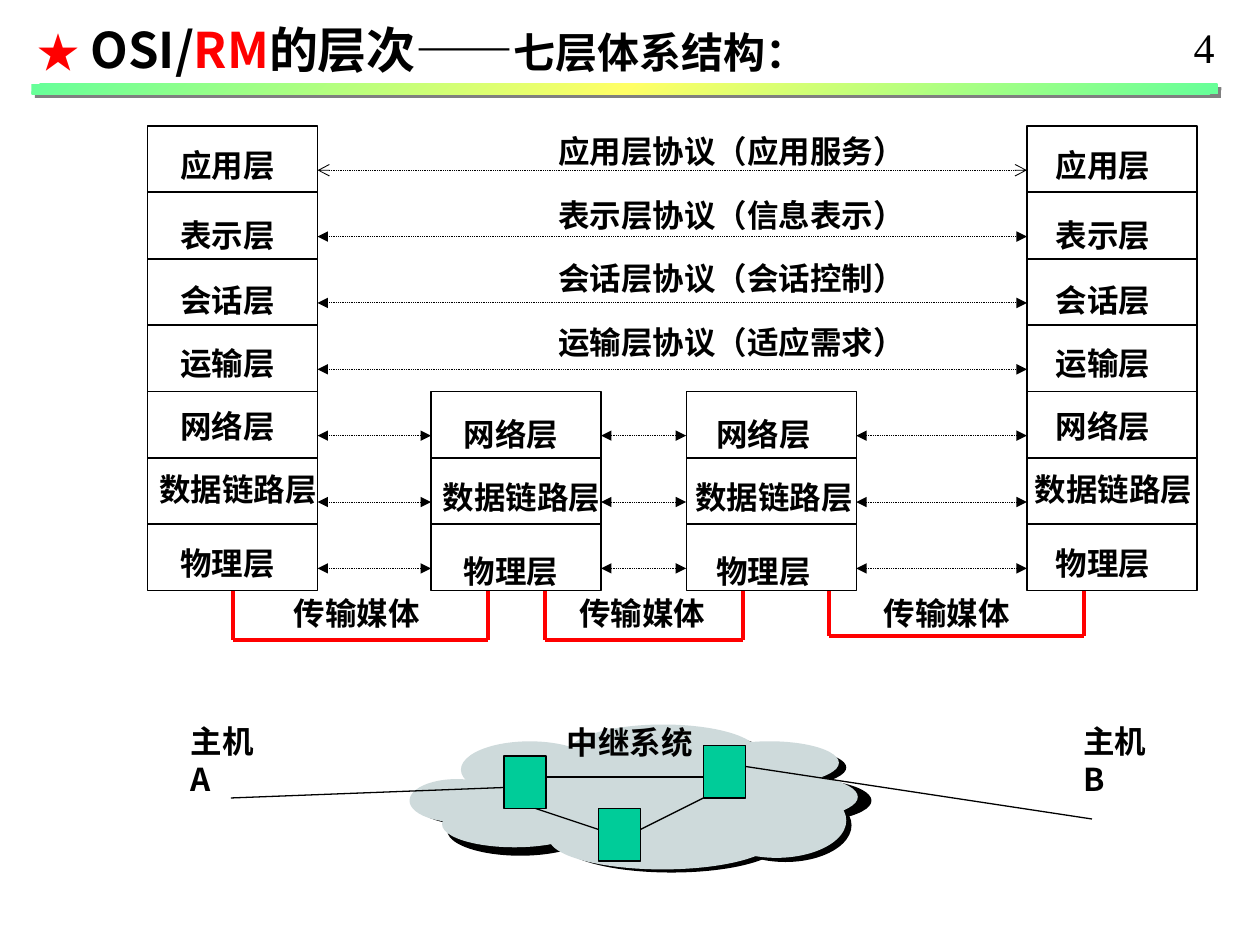
from copy import deepcopy
from dataclasses import dataclass

from lxml import etree
from pptx import Presentation
from pptx import util as u
from pptx.dml.color import RGBColor
from pptx.enum import dml, shapes, text
from pptx.oxml import ns

WIDTH, HEIGHT = u.Inches(10), u.Inches(7.5)
COL, ROW = WIDTH / 120, HEIGHT / 90
LAYER_ROWS = 6.32
SANS, SERIF = "Noto Sans CJK SC", "Times New Roman"
COLORS = {"ink": "000000", "red": "FF0000", "cloud": "CEDADB", "node": "00CC99",
          "mint": "66FF99", "yellow": "FFFF66", "shade": "808080"}
LAYERS = ["应用层", "表示层", "会话层", "运输层", "网络层", "数据链路层", "物理层"]
PROTOCOLS = ["应用层协议（应用服务）", "表示层协议（信息表示）",
             "会话层协议（会话控制）", "运输层协议（适应需求）"]
HOST_LABEL_ROWS = [1.3, 8, 14.2, 20.2, 26.2, 32.2, 39.2]
RELAY_LABEL_ROWS = [1.7, 7.7, 14.7]


@dataclass
class Box:
    """Area of the slide in grid columns and rows."""
    left: float
    top: float
    width: float
    height: float

    @property
    def right(self):
        return self.left + self.width

    def inner(self, left, top, width, height):
        return Box(self.left + left, self.top + top, width, height)

    def emu(self):
        return [int(n * unit) for n, unit in zip(
            (self.left, self.top, self.width, self.height), (COL, ROW, COL, ROW))]


def rgb(name):
    return RGBColor.from_string(COLORS[name])


def add_element(parent, tag, **attributes):
    return etree.SubElement(parent, ns.qn(tag), attributes)


def add_figure(slide, kind, box, fill=None, line=None):
    figure = slide.shapes.add_shape(kind, *box.emu())
    figure.shadow.inherit = False
    if fill:
        figure.fill.solid()
        figure.fill.fore_color.rgb = rgb(fill)
    else:
        figure.fill.background()
    if line:
        figure.line.color.rgb = rgb(line)
        figure.line.width = u.Pt(0.75)
    else:
        figure.line.fill.background()
    return figure


def add_line(slide, start, end, color="ink", width=0.75, arrow=None):
    (x1, y1), (x2, y2) = start, end
    ends = [int(n * unit) for n, unit in zip((x1, y1, x2, y2), (COL, ROW, COL, ROW))]
    line = slide.shapes.add_connector(shapes.MSO_CONNECTOR.STRAIGHT, *ends)
    line.line.color.rgb = rgb(color)
    line.line.width = u.Pt(width)
    if arrow:
        line.line.dash_style = dml.MSO_LINE.ROUND_DOT
        for tag in ("a:headEnd", "a:tailEnd"):
            add_element(line.line._ln, tag, type=arrow)
    add_element(line._element.spPr, "a:effectLst")
    return line


def add_text(slide, box, runs, wrap=False):
    """Places runs of (words, size, font, color, bold) in one paragraph."""
    frame = slide.shapes.add_textbox(*box.emu()).text_frame
    frame.word_wrap = wrap
    frame.auto_size = text.MSO_AUTO_SIZE.SHAPE_TO_FIT_TEXT
    for words, size, face, color, bold in runs:
        run = frame.paragraphs[0].add_run()
        run.text = words
        run.font.color.rgb = rgb(color)
        for key, value in {"size": u.Pt(size), "name": face, "bold": bold}.items():
            setattr(run.font, key, value)
        add_element(run.font._element, "a:ea", typeface=SANS)


def add_label(slide, box, words, face=SANS, wrap=False):
    add_text(slide, box, [(words, 18, face, "ink", True)], wrap)


def add_header(slide, box):
    bar = add_figure(slide, shapes.MSO_SHAPE.RECTANGLE, box.inner(0, 6.7, 113, 1))
    bar.fill.gradient()
    stops = bar.fill._fill._gradFill.gsLst
    stops.insert(1, deepcopy(stops[0]))
    for stop, place, color in zip(bar.fill.gradient_stops, (0, 0.5, 1),
                                  ("mint", "yellow", "mint")):
        stop.position = place
        stop.color.rgb = rgb(color)
    bar.fill.gradient_angle = 315
    effects = bar._element.spPr.find(ns.qn("a:effectLst"))
    shade = add_element(effects, "a:outerShdw", dist=str(u.Pt(2.8)), dir="2700000",
                        algn="ctr", rotWithShape="0")
    add_element(shade, "a:srgbClr", val=COLORS["shade"])

    add_text(slide, box.inner(109.5, 0.2, 4.5, 6), [("4", 24, SERIF, "ink", False)])
    add_text(slide, box.inner(-0.6, 0, 77.5, 6.8), [
        ("★", 24, SANS, "red", True), (" ", 28, SANS, "red", True),
        ("OSI/", 28, SANS, "ink", True), ("RM", 28, SANS, "red", True),
        ("的层次", 28, SANS, "ink", True), ("——", 28, SERIF, "ink", True),
        ("七层体系结构：", 24, SANS, "ink", True)], wrap=True)


def add_stack(slide, box, layers, label_rows, indent):
    stack = add_figure(slide, shapes.MSO_SHAPE.RECTANGLE, box, line="ink")
    for number in range(1, len(layers)):
        y = box.top + number * LAYER_ROWS
        add_line(slide, (box.left, y), (box.right, y), width=1)
    for layer, row in zip(layers, label_rows):
        is_long = len(layer) > 3
        add_label(slide, box.inner(indent - 2 * is_long, row,
                                   17.5 if is_long else 11.5, 4.8), layer)
    return stack


def add_peer_arrows(slide, left, right, top, layers):
    for number in layers:
        y = top + (number + 2 / 3) * LAYER_ROWS
        add_line(slide, (left.right, y), (right.left, y), width=0.5,
                 arrow="arrow" if number == 0 else "triangle")


def add_medium(slide, box, label_left, stack=None):
    """Red U-shaped link; its left leg can hang from a stack."""
    floor = box.top + box.height
    left_leg = add_line(slide, (box.left, box.top), (box.left, floor), "red", 2.25)
    if stack:
        left_leg.begin_connect(stack, 2)
    add_line(slide, (box.left, floor), (box.right, floor), "red", 2.25)
    add_line(slide, (box.right, box.top), (box.right, floor), "red", 2.25)
    add_label(slide, Box(label_left, box.top - 0.25, 14.5, 4.8), "传输媒体", SERIF)


def add_layer_model(slide, box):
    relay_top, relay_height = 4 * LAYER_ROWS, 3 * LAYER_ROWS
    host_a = box.inner(0, 0, 16.2, 7 * LAYER_ROWS)
    relay_1 = box.inner(27, relay_top, 16.2, relay_height)
    relay_2 = box.inner(51.3, relay_top, 16.2, relay_height)
    host_b = box.inner(83.75, 0, 16.2, 7 * LAYER_ROWS)
    stack_a = add_stack(slide, host_a, LAYERS, HOST_LABEL_ROWS, 1.95)
    add_stack(slide, host_b, LAYERS, HOST_LABEL_ROWS, 1.55)
    for relay, indent in ((relay_1, 1.95), (relay_2, 1.7)):
        add_stack(slide, relay, LAYERS[4:], RELAY_LABEL_ROWS, indent)

    add_peer_arrows(slide, host_a, host_b, box.top, range(4))
    chain = [host_a, relay_1, relay_2, host_b]
    for left, right in zip(chain, chain[1:]):
        add_peer_arrows(slide, left, right, box.top, range(4, 7))
    for number, protocol in enumerate(PROTOCOLS):
        add_label(slide, box.inner(37.95, 6.05 * number, 35.6, 4.8), protocol)

    for left, width, drop, label_left, stack in (
            (8.1, 24.3, 4.7, 26.8, stack_a), (37.85, 18.9, 4.7, 54, None),
            (64.9, 24.3, 4.3, 83, None)):
        add_medium(slide, box.inner(left, box.height, width, drop), label_left, stack)


def add_cloud(slide, box):
    shadow = [(15.6, 0.6, 18.7, 5), (5.4, 1.9, 13.3, 5.4), (0.6, 5.4, 9.1, 4.1),
              (3.6, 7.7, 13.9, 4.8), (14.4, 8.3, 21.1, 5.8), (28.3, 2.2, 13.3, 3.8),
              (30.7, 5.2, 13.3, 4.1), (29.5, 6.1, 12.6, 7), (8.5, 3.8, 27.7, 7)]
    puffs = [(15.1, 0, 18.1, 5.4), (4.9, 1.6, 13.1, 5.4), (0, 5.2, 9, 4.1),
             (3.1, 7.3, 13.8, 4.4), (13.3, 7.9, 21.6, 5.9), (27.7, 1.6, 13.2, 4.1),
             (29.5, 4.8, 13.2, 4.2), (28.3, 5.6, 13.3, 7.1), (7.8, 3.2, 27.7, 7.1)]
    for color, ovals in (("ink", shadow), ("cloud", puffs)):
        for oval in ovals:
            add_figure(slide, shapes.MSO_SHAPE.OVAL, box.inner(*oval), color)


def add_network(slide, box):
    add_cloud(slide, box.inner(17, 1, 44, 14))
    for left, top in ((26, 4), (45, 3), (35, 9)):
        add_figure(slide, shapes.MSO_SHAPE.RECTANGLE, box.inner(left, top, 4, 5),
                   "node", "ink")
    for x1, y1, x2, y2 in ((0, 8, 26, 7), (30, 6, 45, 6), (49, 5, 82, 10),
                           (29, 9, 35, 11), (39, 11, 45, 8)):
        add_line(slide, (box.left + x1, box.top + y1), (box.left + x2, box.top + y2))
    for words, left in (("主机A", -5), ("主机B", 80)):
        add_label(slide, box.inner(left, 0.2, 10, 4.8), words, wrap=True)
    add_label(slide, box.inner(30.8, 0.3, 14.5, 4.8), "中继系统", SERIF)


def main():
    deck = Presentation()
    deck.slide_width, deck.slide_height = WIDTH, HEIGHT
    slide = deck.slides.add_slide(deck.slide_layouts[6])
    add_layer_model(slide, Box(14.05, 12, 99.95, 7 * LAYER_ROWS))
    add_network(slide, Box(22, 68, 82, 15))
    add_header(slide, Box(3, 1.3, 113, 7.7))
    deck.save("out.pptx")


if __name__ == "__main__":
    main()
